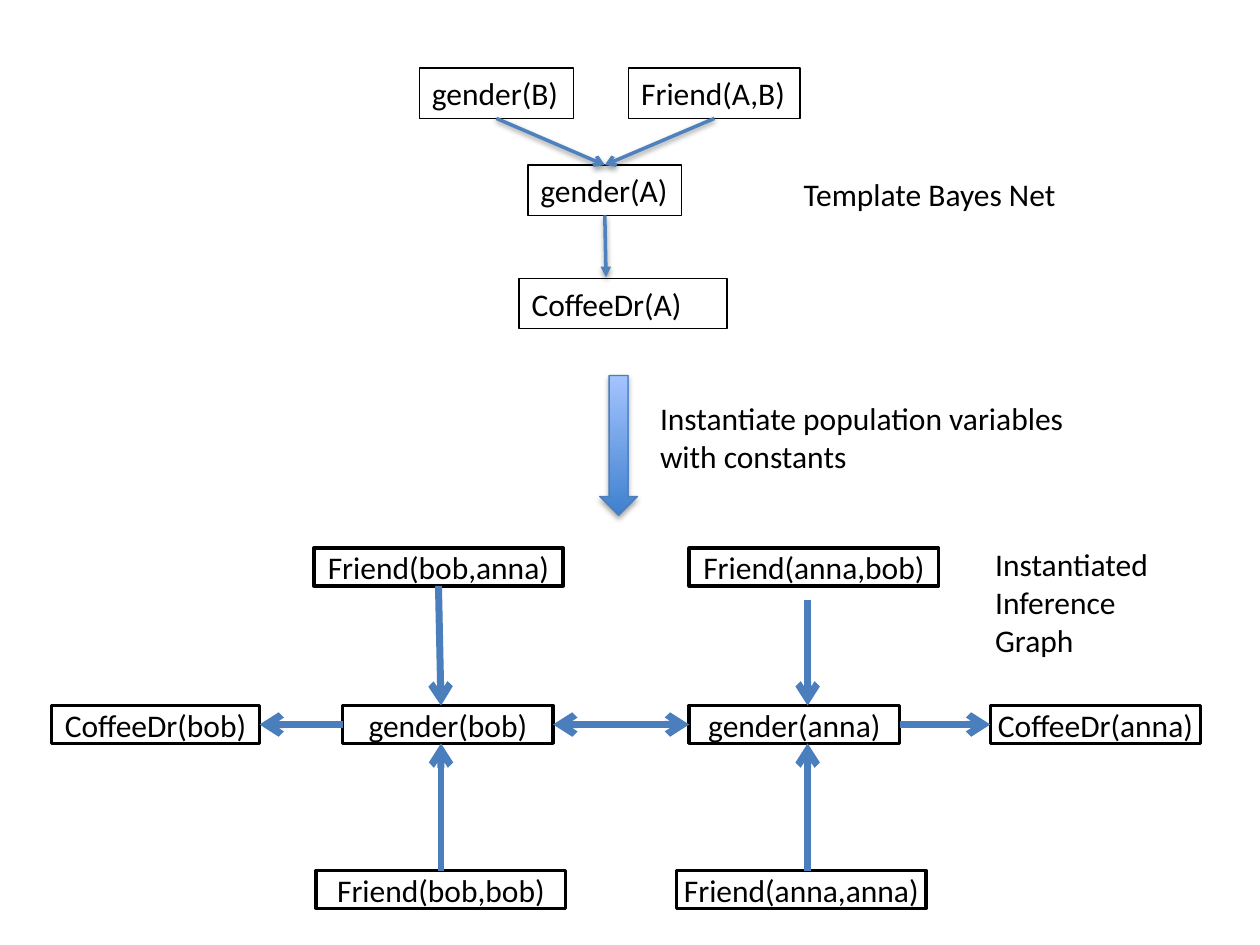
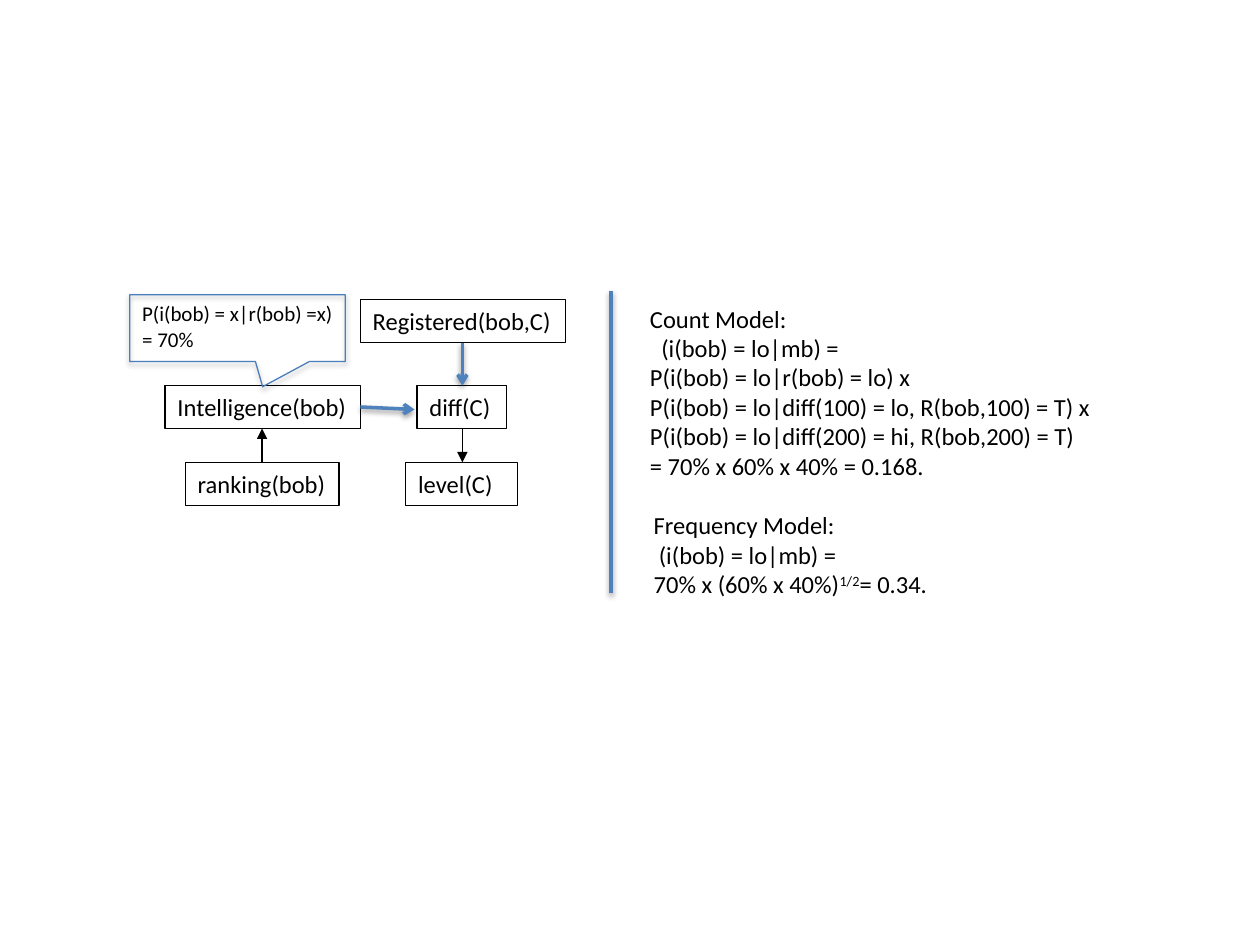
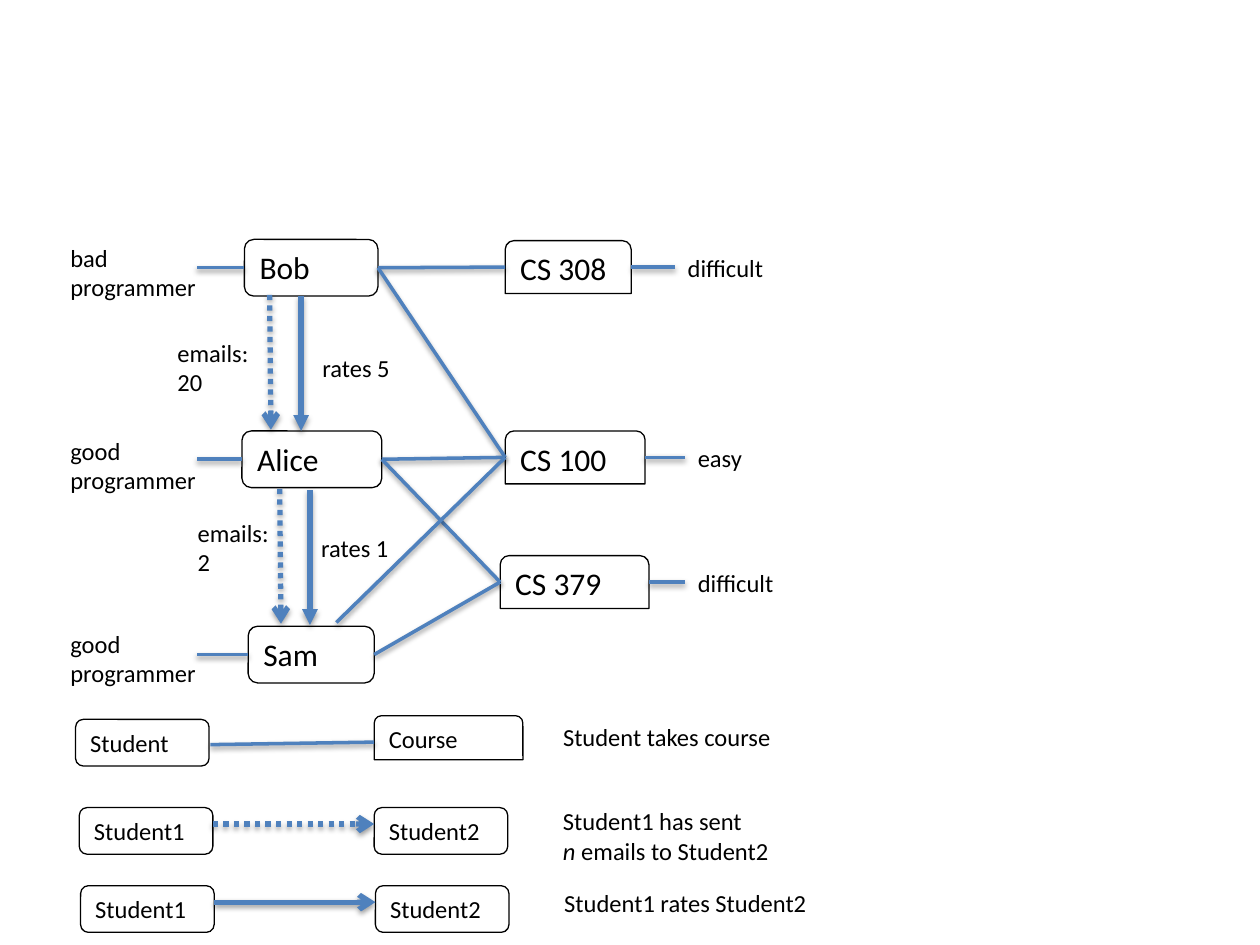
from dataclasses import dataclass
from typing import Any

from lxml import etree
from pptx import Presentation
from pptx import util as u
from pptx.dml.color import RGBColor
from pptx.enum import dml, shapes, text
from pptx.oxml import ns

COLORS = {"ink": "000000", "link": "4F81BD", "bold_link": "4B7EBC",
          "arrow_top": "A4C4FF", "arrow_bottom": "3F80CE"}
FONT = "Calibri"
PRESET = shapes.MSO_SHAPE
STUDENT, COURSE = PRESET.ROUNDED_RECTANGLE, PRESET.ROUND_2_SAME_RECTANGLE

# Styles of links between nodes
SOFT = {"color": "link", "weight": 2, "shadow": 38}
SOFT_ARROW = {**SOFT, "tail": "arrow"}
BOLD_ARROW = {"color": "bold_link", "weight": 4, "tail": "arrow"}
THIN_ARROW = {"color": "ink", "weight": 0.75, "tail": "triangle"}
EMAILS = {**SOFT_ARROW, "weight": 3, "dash": dml.MSO_LINE.ROUND_DOT}
RATES = {**SOFT, "weight": 3, "tail": "triangle"}


def rgb(name):
    return RGBColor.from_string(COLORS[name])


def inches(values):
    return [u.Inches(value) for value in values]


def add_xml(parent, tag, **attributes):
    values = {key: str(value) for key, value in attributes.items()}
    return etree.SubElement(parent, ns.qn(tag), values)


def set_shadow(effects, opacity, distance):
    shadow = add_xml(effects, "a:outerShdw", blurRad=u.Pt(3.1), dist=u.Pt(distance),
                     dir=5400000, rotWithShape=0)
    color = add_xml(shadow, "a:srgbClr", val=COLORS["ink"])
    add_xml(color, "a:alpha", val=opacity * 1000)


def write(shape, lines, size, wrap=True, centered=False, margins=(0.1, 0.05), indents=None):
    """Each line is a string or a list of (words, font attributes) pairs."""
    frame = shape.text_frame
    across, down = inches(margins)
    settings = {"word_wrap": wrap, "vertical_anchor": text.MSO_ANCHOR.TOP,
                "margin_left": across, "margin_right": across,
                "margin_top": down, "margin_bottom": down}
    for name, value in settings.items():
        setattr(frame, name, value)
    for index, line in enumerate(lines):
        para = frame.add_paragraph() if index else frame.paragraphs[0]
        para.alignment = text.PP_ALIGN.CENTER if centered else text.PP_ALIGN.LEFT
        if indents and index in indents:
            para._p.get_or_add_pPr().set("marL", str(u.Inches(indents[index])))
        for words, extra in [(line, {})] if isinstance(line, str) else line:
            span = para.add_run()
            span.text = words
            span.font.color.rgb = rgb("ink")
            for name, value in {"name": FONT, "size": u.Pt(size)}.items():
                setattr(span.font, name, value)
            for name, value in extra.items():
                span.font._element.set(name, value)


@dataclass
class Region:
    """A part of a page; every position is relative to its left top corner."""
    page: Any
    left: float
    top: float

    def place(self, box):
        x, y, width, height = box
        return inches((self.left + x, self.top + y, width, height))

    def outline(self, box, preset, color="ink", weight=0.75):
        shape = self.page.shapes.add_shape(preset, *self.place(box))
        shape.shadow.inherit = False
        shape.fill.background()
        shape.line.color.rgb = rgb(color)
        shape.line.width = u.Pt(weight)
        return shape

    def node(self, box, words, size=18, preset=PRESET.RECTANGLE, weight=0.75, **layout):
        write(self.outline(box, preset, weight=weight), [words], size, **layout)

    def label(self, box, *lines, size=14, **layout):
        write(self.page.shapes.add_textbox(*self.place(box)), lines, size, **layout)

    def link(self, start, end, color, weight, dash=None, head=None, tail=None, shadow=None):
        points = inches((self.left + start[0], self.top + start[1],
                         self.left + end[0], self.top + end[1]))
        line = self.page.shapes.add_connector(shapes.MSO_CONNECTOR.STRAIGHT, *points)
        line.line.color.rgb = rgb(color)
        line.line.width = u.Pt(weight)
        if dash:
            line.line.dash_style = dash
        properties = line._element.spPr
        for tag, kind in (("a:headEnd", head), ("a:tailEnd", tail)):
            if kind:
                add_xml(properties.find(ns.qn("a:ln")), tag, type=kind)
        effects = add_xml(properties, "a:effectLst")
        if shadow:
            set_shadow(effects, shadow, 1.6)


def left_middle(box):
    return box[0], box[1] + box[3] / 2


def right_middle(box):
    return box[0] + box[2], box[1] + box[3] / 2


def draw_template_net(region):
    for x, y, width, words in ((0, 0, 1.22, "gender(B)"), (1.66, 0, 1.36, "Friend(A,B)"),
                               (0.86, 0.77, 1.22, "gender(A)")):
        region.node((x, y, width, 0.4), words, wrap=False)
    region.node((0.79, 1.67, 1.65, 0.4), "CoffeeDr(A)")
    for parent_x in (0.61, 2.34):
        region.link((parent_x, 0.4), (1.47, 0.77), **SOFT_ARROW)
    region.link((1.47, 1.17), (1.48, 1.66), **{**SOFT_ARROW, "tail": "triangle"})
    region.label((2.95, 0.8, 2.26, 0.4), "Template Bayes Net", size=18, wrap=False)


def draw_instantiation_step(region):
    arrow = region.outline((0, 0, 0.3, 1.11), PRESET.DOWN_ARROW, "bold_link")
    arrow.fill.gradient()
    arrow.fill.gradient_angle = 90
    for stop, name in zip(arrow.fill.gradient_stops, ("arrow_bottom", "arrow_top")):
        stop.color.rgb = rgb(name)
    set_shadow(arrow._element.spPr.find(ns.qn("a:effectLst")), 35, 1.8)
    region.label((0.38, 0.14, 3.46, 0.71), "Instantiate population variables",
                 "with constants", size=18, wrap=False)


def draw_inference_graph(region):
    friend, attribute = 1.98, 1.67
    nodes = ((0, 1.25, 1.65, "CoffeeDr(bob)"), (2.08, 0, friend, "Friend(bob,anna)"),
             (2.31, 1.25, attribute, "gender(bob)"), (7.45, 1.25, attribute, "CoffeeDr(anna)"),
             (5.06, 0, friend, "Friend(anna,bob)"), (5.06, 1.25, attribute, "gender(anna)"),
             (2.1, 2.56, friend, "Friend(bob,bob)"), (4.96, 2.56, friend, "Friend(anna,anna)"))
    for x, y, width, words in nodes:
        region.node((x, y, width, 0.3), words, weight=2, centered=True, margins=(0, 0))
    for start, end in (((2.31, 1.4), (1.65, 1.4)), ((6.73, 1.4), (7.45, 1.4)),
                       ((3.07, 0.3), (3.09, 1.25)), ((6, 0.41), (6, 1.25)),
                       ((6, 2.56), (6, 1.55)), ((3.09, 2.56), (3.09, 1.55))):
        region.link(start, end, **BOLD_ARROW)
    region.link((3.98, 1.4), (5.06, 1.4), head="arrow", **BOLD_ARROW)
    region.label((7.39, -0.07, 1.44, 1.01), "Instantiated", "Inference", "Graph",
                 size=18, wrap=False)


def draw_student_net(region):
    nodes = ((0.44, 1.36, 1.22, "ranking(bob)", False),
             (0.28, 0.75, 1.55, "Intelligence(bob)", False),
             (2.28, 0.75, 0.71, "diff(C)", True), (2.19, 1.36, 0.89, "level(C)", True),
             (1.83, 0.07, 1.63, "Registered(bob,C)", False))
    for x, y, width, words, wrap in nodes:
        region.node((x, y, width, 0.34), words, 14, wrap=wrap)
    region.link((1.05, 1.36), (1.05, 1.09), **THIN_ARROW)
    region.link((2.64, 1.09), (2.64, 1.36), **THIN_ARROW)
    region.link((1.83, 0.92), (2.26, 0.94), **SOFT_ARROW)
    region.link((2.64, 0.41), (2.64, 0.75), **SOFT_ARROW)
    region.label((0, 0.03, 2.09, 0.5), "P(i(bob) = x|r(bob) =x)", "= 70%", size=12)
    callout = region.outline((0, 0.03, 1.71, 0.53), PRESET.RECTANGULAR_CALLOUT, "bold_link")
    callout.adjustments[0], callout.adjustments[1] = 0.117, 0.876
    set_shadow(callout._element.spPr.find(ns.qn("a:effectLst")), 35, 1.8)


def draw_models(region):
    region.link((0, 0), (0, 2.4), **SOFT)
    region.label((0.21, 0.05, 3.81, 1.99), "Count Model:", "(i(bob) = lo|mb) =",
                 "P(i(bob) = lo|r(bob) = lo) x",
                 "P(i(bob) = lo|diff(100) = lo, R(bob,100) = T) x",
                 "P(i(bob) = lo|diff(200) = hi, R(bob,200) = T)",
                 "= 70% x 60% x 40% = 0.168.", indents={1: 0.09})
    region.label((0.24, 1.69, 2.44, 1.28), "Frequency Model:", "(i(bob) = lo|mb) =",
                 [("70% x (60% x 40%)", {}), ("1/2", {"baseline": "30000"}), ("= 0.34.", {})],
                 indents={1: 0.04})


def draw_course_network(region):
    students = {"Bob": (1.48, 0.02, 1.06, 0.45), "Alice": (1.46, 1.54, 1.11, 0.45),
                "Sam": (1.51, 3.09, 1, 0.45)}
    courses = {"CS 308": (3.55, 0.03, 1, 0.42), "CS 100": (3.55, 1.54, 1.11, 0.42),
               "CS 379": (3.51, 2.53, 1.18, 0.42)}
    for (name, box), skill, y in zip(students.items(), ("bad", "good", "good"),
                                     (0, 1.53, 3.06)):
        region.node(box, name, preset=STUDENT)
        region.label((0, y, 1.35, 0.57), skill, "programmer")
        middle = left_middle(box)
        region.link(middle, (1.1, middle[1]), **SOFT)
    for (name, box), level, x in zip(courses.items(), ("difficult", "easy", "difficult"),
                                     (4.9, 4.98, 4.98)):
        region.node(box, name, preset=COURSE)
        region.label((x, box[1] + 0.05, 1, 0.34), level)
        middle = right_middle(box)
        region.link(middle, (x, middle[1]), **SOFT)
    for student, course in (("Bob", "CS 308"), ("Bob", "CS 100"), ("Alice", "CS 100"),
                            ("Alice", "CS 379"), ("Sam", "CS 379")):
        region.link(right_middle(students[student]), left_middle(courses[course]), **SOFT)
    region.link((2.21, 3.06), left_middle(courses["CS 100"]), **SOFT)
    for y, email_x, email_text_x, count, rate_x, rate_text_x, rating, text_y in (
            (0.46, 1.68, 0.85, "20", 1.93, 2, "rates 5", 0.75),
            (2, 1.76, 1.01, "2", 2, 1.99, "rates 1", 2.18)):
        region.link((email_x, y), (email_x + 0.01, y + 1.07), **EMAILS)
        region.label((email_text_x, text_y, 0.81, 0.57), "emails:", count)
        region.link((rate_x, y + 0.01), (rate_x, y + 1.08), **RATES)
        region.label((rate_text_x, text_y + 0.12, 0.81, 0.34), rating)


def draw_legend(region):
    region.node((0, 0.03, 1.06, 0.37), "Student", 14, STUDENT)
    region.node((2.37, 0, 1.18, 0.35), "Course", 14, COURSE)
    region.link((1.07, 0.23), (2.37, 0.21), **SOFT)
    region.label((3.77, 0, 2.49, 0.34), "Student takes course")
    for x, y, style in ((0.03, 0.73, EMAILS), (0.04, 1.35, {**RATES, "tail": "arrow"})):
        region.node((x, y, 1.06, 0.37), "Student1", 14, STUDENT)
        region.node((x + 2.34, y, 1.06, 0.37), "Student2", 14, STUDENT)
        region.link((x + 1.06, y + 0.13), (x + 2.34, y + 0.13), **style)
    region.label((3.77, 0.67, 3.4, 0.57), "Student1 has sent",
                 [("n", {"i": "1"}), (" emails to Student2", {})])
    region.label((3.78, 1.32, 3.4, 0.34), "Student1 rates Student2")


def main():
    deck = Presentation()
    deck.slide_width, deck.slide_height = inches((10, 7.5))
    pages = (
        ((draw_template_net, 3.33, 0.54), (draw_instantiation_step, 4.76, 2.98),
         (draw_inference_graph, 0.41, 4.35)),
        ((draw_student_net, 1.03, 2.31), (draw_models, 4.85, 2.31)),
        ((draw_course_network, 0.46, 1.88), (draw_legend, 0.6, 5.68)),
    )
    for regions in pages:
        page = deck.slides.add_slide(deck.slide_layouts[6])
        for draw, left, top in regions:
            draw(Region(page, left, top))
    deck.save("out.pptx")


if __name__ == "__main__":
    main()
